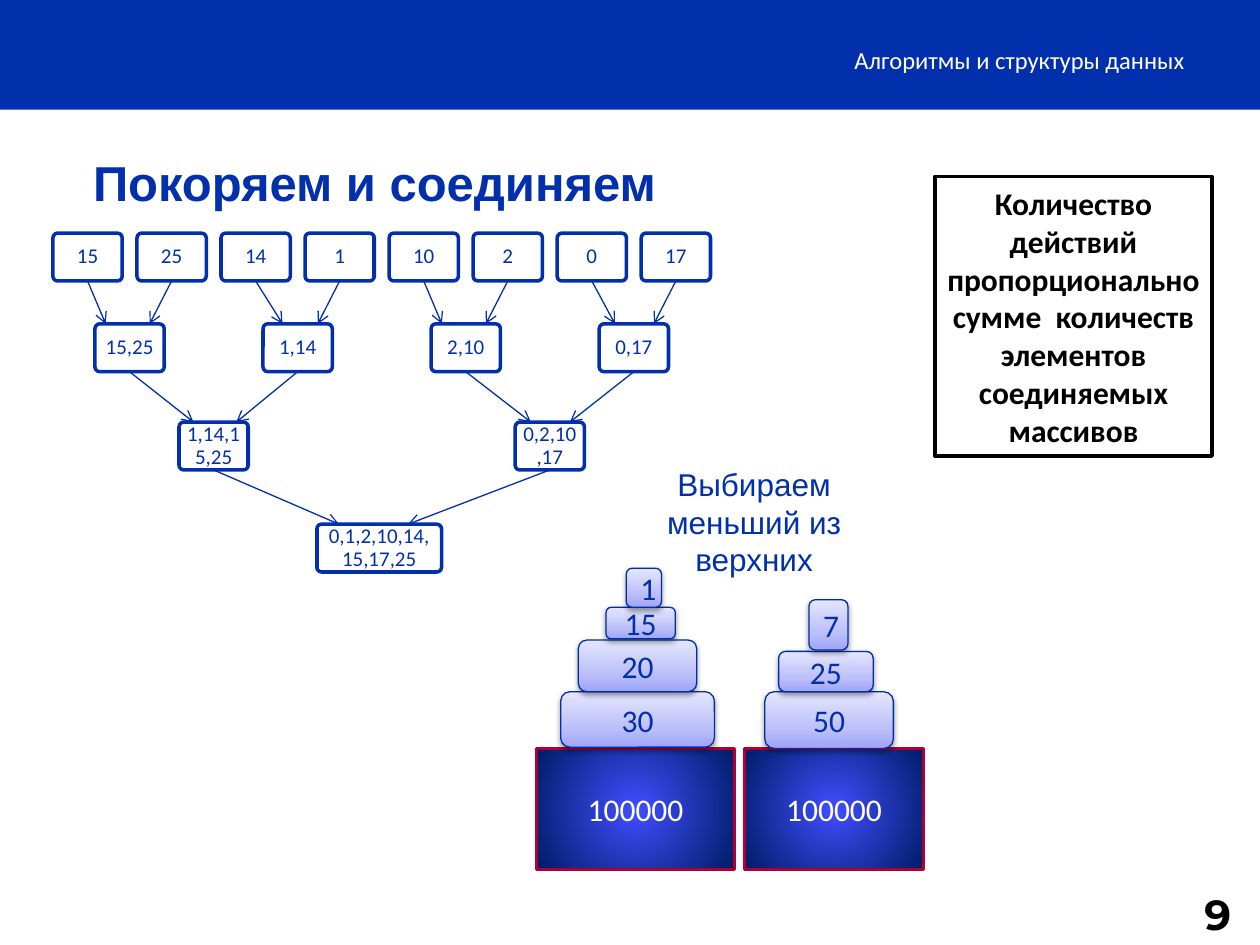
from lxml.etree import SubElement
from pptx import Presentation
from pptx.dml.color import RGBColor
from pptx.enum.shapes import MSO_CONNECTOR as CONN, MSO_SHAPE as SHAPE
from pptx.enum.text import MSO_ANCHOR as ANCHOR, PP_ALIGN as ALIGN
from pptx.oxml.ns import qn
from pptx.util import Inches, Pt

BLUE = RGBColor(0x02, 0x30, 0xAC)
EDGE = RGBColor(0x00, 0x2E, 0xAA)
RED = RGBColor(0xAF, 0x00, 0x32)
WHITE = RGBColor(0xFF, 0xFF, 0xFF)
BLACK = RGBColor(0x00, 0x00, 0x00)
LILAC = [(0, RGBColor(0x9F, 0xA4, 0xF9)), (35, RGBColor(0xBC, 0xC0, 0xF9)),
         (100, RGBColor(0xE5, 0xE6, 0xFE))]
GLOW = [(0, RGBColor(0x40, 0x4E, 0xFF)), (100, RGBColor(0x00, 0x1C, 0x67))]

COLS, ROWS = 100, 75
LEAVES = [15, 25, 14, 1, 10, 2, 0, 17]
LEVEL_TOPS = [18.5, 25.7, 33.5, 41.6]
ARROW_ENDS = [
    [(-1.9, 1.6), (-1.2, 1.6), (-1.9, 1.6), (-1.5, 1.6)],
    [(-1.6, 1.8), (-1.5, 1.6)],
    [(-3.2, 2.3)],
]
FRAMED = ([1], [1, 14, 15, 25], sorted(LEAVES))
NODE_W, NODE_H, ROOT_W = 5.5, 3.8, 9.9
FIRST_CENTRE, LEAF_STEP = 6.95, 6.67
BASES = [("100000", 59.1, 59.4, 14.2, 9.6), ("100000", 42.6, 59.4, 15.7, 9.6)]
BLOCKS = [
    ("30", 44.5, 54.9, 12.2, 4.4), ("20", 45.9, 50.8, 9.4, 4.1),
    ("15", 48.1, 48.2, 5.5, 2.5), ("50", 60.7, 54.9, 10.2, 4.5),
    ("25", 61.8, 51.7, 7.5, 3.2), ("7", 64.2, 47.6, 3.1, 4),
    ("1", 49.7, 45.1, 2.8, 3.1),
]


class Deck:
    """Holds the style and the current slide, measured in grid columns and rows."""

    def __init__(self, prs):
        self.s = prs.slides.add_slide(prs.slide_layouts[6])
        self.col, self.row = prs.slide_width / COLS, prs.slide_height / ROWS

    def place(self, x, y, w, h):
        return [round(v * u) for v, u in zip((x, y, w, h), (self.col, self.row) * 2)]

    def fill_text(self, sp, text, align=ALIGN.CENTER, anchor=ANCHOR.MIDDLE, inset=None,
                  spacing=None, **font):
        tf = sp.text_frame
        tf.word_wrap, tf.vertical_anchor = True, anchor
        if inset is not None:
            for side in ("left", "right", "top", "bottom"):
                setattr(tf, f"margin_{side}", Inches(inset))
        p = tf.paragraphs[0]
        p.alignment, p.line_spacing = align, spacing
        r = p.add_run()
        r.text = text
        style = {"name": "Calibri", "size": 18, "bold": False, "color": BLUE} | font
        r.font.color.rgb = style.pop("color")
        style["size"] = Pt(style["size"])
        for key, value in style.items():
            setattr(r.font, key, value)

    def text(self, text, *box, **style):
        self.fill_text(self.s.shapes.add_textbox(*self.place(*box)), text, **style)

    def shape(self, kind, *box, fill=None, line=None, width=2):
        sp = self.s.shapes.add_shape(kind, *self.place(*box))
        sp.shadow.inherit = False
        if fill is None:
            sp.fill.background()
        else:
            sp.fill.solid()
            sp.fill.fore_color.rgb = fill
        if line is None:
            sp.line.fill.background()
        else:
            sp.line.color.rgb, sp.line.width = line, Pt(width)
        return sp

    def gradient(self, sp, stops, radial=False):
        sp.fill.gradient()
        grad = sp._element.spPr.find(qn("a:gradFill"))
        for child in list(grad):
            grad.remove(child)
        stop_list = SubElement(grad, qn("a:gsLst"))
        for pos, color in stops:
            gs = SubElement(stop_list, qn("a:gs"), pos=str(pos * 1000))
            SubElement(gs, qn("a:srgbClr"), val=str(color))
        if radial:
            circle = SubElement(grad, qn("a:path"), {"path": "circle"})
            SubElement(circle, qn("a:fillToRect"), dict.fromkeys("ltrb", "50000"))
        else:
            SubElement(grad, qn("a:lin"), ang="16200000", scaled="0")

    def base(self, label, *box):
        sp = self.shape(SHAPE.RECTANGLE, *box, line=RED)
        self.gradient(sp, GLOW, radial=True)
        self.fill_text(sp, label, color=WHITE)

    def block(self, label, *box):
        sp = self.shape(SHAPE.ROUNDED_RECTANGLE, *box, line=EDGE, width=0.75)
        self.gradient(sp, LILAC)
        effects = sp._element.spPr.find(qn("a:effectLst"))
        shadow = SubElement(effects, qn("a:outerShdw"), blurRad="40000", dist="20000",
                            dir="5400000", rotWithShape="0")
        color = SubElement(shadow, qn("a:srgbClr"), val=str(BLACK))
        SubElement(color, qn("a:alpha"), val="38000")
        self.fill_text(sp, label)

    def node(self, values, centre, top, width=NODE_W):
        left = centre - width / 2
        sp = self.shape(SHAPE.ROUNDED_RECTANGLE, left, top, width, NODE_H, line=BLUE)
        sp.adjustments[0] = 0.1
        self.fill_text(sp, ",".join(map(str, values)), size=12, inset=0.05, spacing=0.9)
        if values in FRAMED:
            self.shape(SHAPE.RECTANGLE, left + 0.1, top + 0.1, width - 0.2, NODE_H - 0.2,
                       line=BLUE, width=0.75)
        return sp

    def arrow(self, source, x, y):
        end_x, end_y = self.place(x, y, 0, 0)[:2]
        c = self.s.shapes.add_connector(CONN.STRAIGHT, 0, 0, end_x, end_y)
        c.begin_connect(source, 2)
        c.line.color.rgb, c.line.width = BLUE, Pt(0.75)
        spPr = c._element.spPr
        SubElement(spPr.find(qn("a:ln")), qn("a:tailEnd"), type="arrow")
        SubElement(spPr, qn("a:effectLst"))

    def merge_tree(self):
        nodes = [([v], FIRST_CENTRE + i * LEAF_STEP) for i, v in enumerate(LEAVES)]
        levels = [nodes]
        while len(nodes) > 1:
            nodes = [(sorted(a + b), (x1 + x2) / 2)
                     for (a, x1), (b, x2) in zip(nodes[::2], nodes[1::2])]
            levels.append(nodes)
        levels[-1] = [(values, x - 0.2) for values, x in nodes]
        shapes = [[self.node(values, x, top, ROOT_W if len(level) == 1 else NODE_W)
                   for values, x in level] for level, top in zip(levels, LEVEL_TOPS)]
        for sources, targets, ends, top in zip(shapes, levels[1:], ARROW_ENDS, LEVEL_TOPS[1:]):
            for i, source in enumerate(sources):
                self.arrow(source, targets[i // 2][1] + ends[i // 2][i % 2], top)


def main():
    prs = Presentation()
    prs.slide_width, prs.slide_height = Inches(10), Inches(7.5)
    deck = Deck(prs)
    deck.shape(SHAPE.RECTANGLE, 0, 0, COLS, 8.7, fill=BLUE)
    deck.text("Алгоритмы и структуры данных", 44.1, 2.7, 50.9, 4,
              align=ALIGN.RIGHT, size=14, color=WHITE)
    deck.text("9", 93.3, 70, 6.7, 5, anchor=ANCHOR.TOP,
              name="Montserrat", size=24, bold=True, color=BLACK)
    deck.text("Покоряем и соединяем", 6.4, 11.6, 54.3, 5.7, align=ALIGN.LEFT,
              anchor=ANCHOR.TOP, name="Arial", size=28, bold=True)
    deck.merge_tree()
    for base in BASES:
        deck.base(*base)
    for block in BLOCKS:
        deck.block(*block)
    deck.text("Выбираем меньший из верхних", 50.8, 36.4, 18.1, 10.1,
              anchor=ANCHOR.TOP, name="Arial")
    note = deck.shape(SHAPE.RECTANGLE, 74.2, 14, 22, 22.2, fill=WHITE, line=BLACK)
    deck.fill_text(note, "Количество действий пропорционально сумме  количеств элементов "
                   "соединяемых массивов", inset=0.06, bold=True, color=BLACK)
    prs.save("out.pptx")


if __name__ == "__main__":
    main()
